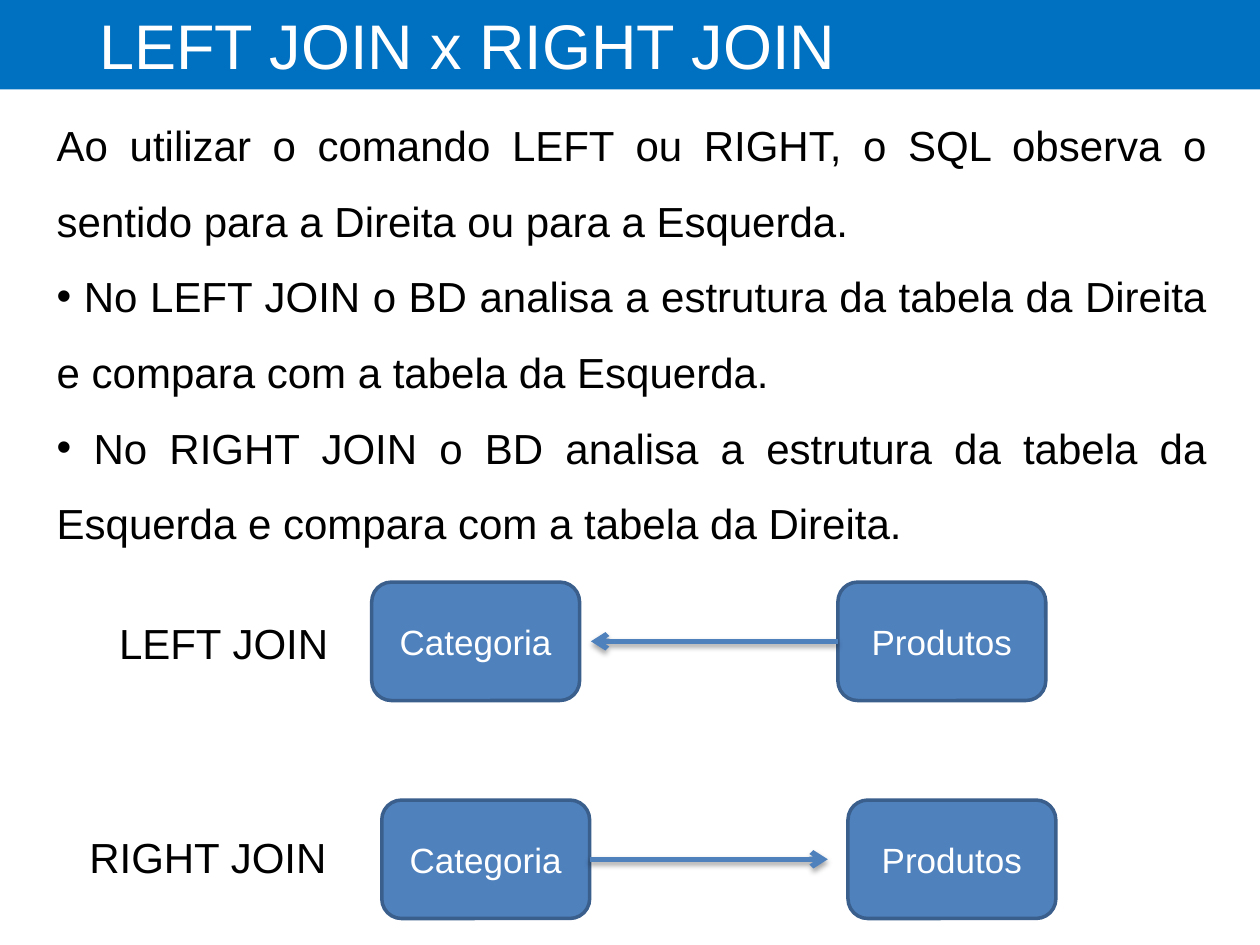
"""Build a slide that contrasts LEFT JOIN with RIGHT JOIN."""
from lxml import etree
from pptx import Presentation
from pptx.dml.color import RGBColor
from pptx.enum.shapes import MSO_CONNECTOR, MSO_SHAPE
from pptx.enum.text import MSO_ANCHOR, MSO_AUTO_SIZE, PP_ALIGN
from pptx.oxml.ns import qn
from pptx.util import Inches, Pt

STRAIGHT = MSO_CONNECTOR.STRAIGHT
ROUNDED = MSO_SHAPE.ROUNDED_RECTANGLE
TOP, MIDDLE = MSO_ANCHOR.TOP, MSO_ANCHOR.MIDDLE
NO_FIT = MSO_AUTO_SIZE.NONE
LEFT, CENTER, JUSTIFY = PP_ALIGN.LEFT, PP_ALIGN.CENTER, PP_ALIGN.JUSTIFY

BANNER_BLUE = RGBColor(0x00, 0x70, 0xC0)
BOX_BLUE = RGBColor(0x4F, 0x81, 0xBD)
EDGE_BLUE = RGBColor(0x3A, 0x5F, 0x8C)
WHITE = RGBColor(0xFF, 0xFF, 0xFF)
BLACK = RGBColor(0x00, 0x00, 0x00)

BOX_WIDTH, BOX_HEIGHT, BOX_STEP = 1.65, 0.94, 3.7
EXPLANATION = [
    ("Ao utilizar o comando LEFT ou RIGHT, o SQL observa o sentido "
     "para a Direita ou para a Esquerda.", None),
    (" No LEFT JOIN o BD analisa a estrutura da tabela da Direita "
     "e compara com a tabela da Esquerda.", "•"),
    (" No RIGHT JOIN o BD analisa a estrutura da tabela da Esquerda "
     "e compara com a tabela da Direita.", "•"),
]
JOINS = [
    {"label": "LEFT JOIN", "label_at": (0.75, 4.85, 2.05, 0.5),
     "box_left": 2.95, "box_top": 4.62, "source": 1, "site": 1,
     "arrow_x": (6.65, 4.69)},
    {"label": "RIGHT JOIN", "label_at": (0.51, 6.55, 2.28, 0.5),
     "box_left": 3.03, "box_top": 6.35, "source": 0, "site": 3,
     "arrow_x": (4.68, 6.57)},
]


def place(part, left, top, width, height):
    part.left, part.top = Inches(left), Inches(top)
    part.width, part.height = Inches(width), Inches(height)


def write(part, text, size, color, alignment, anchor):
    frame = part.text_frame
    frame_format = {"text": text, "word_wrap": True, "auto_size": NO_FIT,
                    "vertical_anchor": anchor}
    for attribute, value in frame_format.items():
        setattr(frame, attribute, value)
    for paragraph in frame.paragraphs:
        paragraph.alignment = alignment
        for run in paragraph.runs:
            run.font.color.rgb = color
            for attribute, value in {"name": "Arial", "size": Pt(size)}.items():
                setattr(run.font, attribute, value)


presentation = Presentation()
presentation.slide_width, presentation.slide_height = Inches(10), Inches(7.5)
slide = presentation.slides.add_slide(presentation.slide_layouts[1])
shapes = slide.shapes

banner = shapes.title
place(banner, 0, 0, 10, 0.71)
banner.fill.solid()
banner.fill.fore_color.rgb = BANNER_BLUE
write(banner, "LEFT JOIN x RIGHT JOIN", 36, WHITE, LEFT, TOP)
banner.text_frame.margin_left = Inches(0.79)

explanation = slide.placeholders[1]
place(explanation, 0.35, 0.7, 9.33, 3.74)
write(explanation, "\n".join(text for text, bullet in EXPLANATION),
      24, BLACK, JUSTIFY, TOP)
for paragraph, (text, bullet) in zip(explanation.text_frame.paragraphs, EXPLANATION):
    for attribute, value in {"line_spacing": 1.5, "space_before": Pt(0)}.items():
        setattr(paragraph, attribute, value)
    properties = paragraph._p.get_or_add_pPr()
    properties.set("marL", "0")
    properties.set("indent", "0")
    if bullet:
        etree.SubElement(properties, qn("a:buFont"), typeface="Arial")
        etree.SubElement(properties, qn("a:buChar"), char=bullet)
    else:
        etree.SubElement(properties, qn("a:buNone"))

for join in JOINS:
    tables = []
    for column, table_name in enumerate(("Categoria", "Produtos")):
        table_box = shapes.add_shape(
            ROUNDED, Inches(join["box_left"] + column * BOX_STEP),
            Inches(join["box_top"]), Inches(BOX_WIDTH), Inches(BOX_HEIGHT))
        table_box.shadow.inherit = False
        table_box.fill.solid()
        table_box.fill.fore_color.rgb = BOX_BLUE
        table_box.line.color.rgb = EDGE_BLUE
        table_box.line.width = Pt(2)
        write(table_box, table_name, 20, WHITE, CENTER, MIDDLE)
        tables.append(table_box)

    start_x, end_x = join["arrow_x"]
    middle = Inches(join["box_top"] + BOX_HEIGHT / 2)
    arrow = shapes.add_connector(STRAIGHT, Inches(start_x), middle, Inches(end_x), middle)
    arrow.begin_connect(tables[join["source"]], join["site"])
    arrow.line.color.rgb = BOX_BLUE
    arrow.line.width = Pt(3)
    etree.SubElement(arrow.line._get_or_add_ln(), qn("a:tailEnd"), type="arrow")
    effects = etree.SubElement(arrow._element.spPr, qn("a:effectLst"))
    shadow = etree.SubElement(effects, qn("a:outerShdw"), blurRad=str(Pt(3.1)),
                              dist=str(Pt(1.8)), dir="5400000", rotWithShape="0")
    shade = etree.SubElement(shadow, qn("a:srgbClr"), val=str(BLACK))
    etree.SubElement(shade, qn("a:alpha"), val="35000")

    label = shapes.add_textbox(*map(Inches, join["label_at"]))
    write(label, join["label"], 24, BLACK, CENTER, TOP)

presentation.save("out.pptx")
